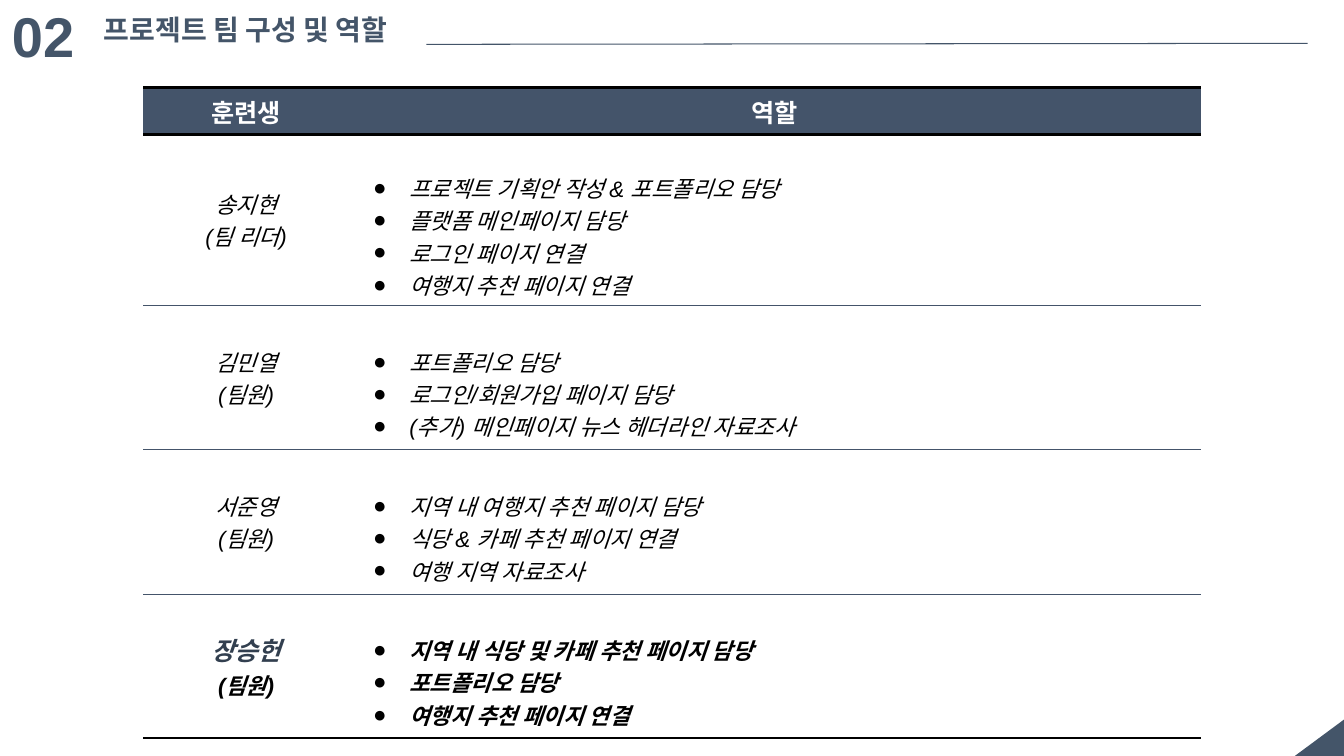
from lxml import etree
from pptx import Presentation
from pptx.dml.color import RGBColor
from pptx.enum.shapes import MSO_CONNECTOR, MSO_SHAPE
from pptx.enum.text import MSO_ANCHOR, MSO_AUTO_SIZE, PP_ALIGN
from pptx.oxml.ns import qn
from pptx.util import Inches, Pt

LEFT, CENTER = PP_ALIGN.LEFT, PP_ALIGN.CENTER
TOP, MIDDLE = MSO_ANCHOR.TOP, MSO_ANCHOR.MIDDLE

NUMBER = "02"
TITLE = "프로젝트 팀 구성 및 역할"
HEADERS = ("훈련생", "역할")
MEMBERS = [
    ("송지현", "(팀 리더)", [
        "프로젝트 기획안 작성 & 포트폴리오 담당",
        "플랫폼 메인페이지 담당",
        "로그인 페이지 연결",
        "여행지 추천 페이지 연결",
    ]),
    ("김민열", "(팀원)", [
        "포트폴리오 담당",
        "로그인/회원가입 페이지 담당",
        "(추가) 메인페이지 뉴스 헤더라인 자료조사",
    ]),
    ("서준영", "(팀원)", [
        "지역 내 여행지 추천 페이지 담당",
        "식당 & 카페 추천 페이지 연결",
        "여행 지역 자료조사",
    ]),
    ("장승헌", "(팀원)", [
        "지역 내 식당 및 카페 추천 페이지 담당",
        "포트폴리오 담당",
        "여행지 추천 페이지 연결",
    ]),
]

NAVY, SLATE, DARK = "445569", "44546A", "323F4F"
BLACK, WHITE = "000000", "FFFFFF"
THICK, THIN = (BLACK, 2), (SLATE, 0.75)

TABLE_LEFT, TABLE_TOP = 1.42, 0.87
COLUMNS = (2.04, 8.45)
HEADER_HEIGHT = 0.45
LINE_HEIGHT, ROW_PADDING = 0.32, 0.1
TASK_MARGIN_TOP = 0.37

NUMBER_FORMAT = {"size": Pt(40), "name": "Arial", "bold": True}
TITLE_FORMAT = {"size": Pt(20), "name": "Calibri", "bold": True}
HEADER_FORMAT = {"size": Pt(18), "name": "Arial", "bold": True}
BODY_FORMAT = {"size": Pt(16), "name": "Arial", "bold": False, "italic": True}


def rgb(color):
    return RGBColor.from_string(color)


def write(paragraph, text, formats, color, align=LEFT):
    paragraph.alignment = align
    font = paragraph.add_run().font
    paragraph.runs[0].text = text
    for name, value in formats.items():
        setattr(font, name, value)
    font.color.rgb = rgb(color)


def place_label(shape, box, text, formats):
    shape.left, shape.top, shape.width, shape.height = map(Inches, box)
    frame = shape.text_frame
    frame.auto_size = MSO_AUTO_SIZE.NONE
    frame.word_wrap = True
    frame.vertical_anchor = TOP
    write(frame.paragraphs[0], text, formats, NAVY)


def style_cell(cell, fill, top, bottom):
    properties = cell._tc.get_or_add_tcPr()
    for tag, border in (("a:lnL", None), ("a:lnR", None), ("a:lnT", top), ("a:lnB", bottom)):
        line = etree.SubElement(properties, qn(tag))
        if border is None:
            etree.SubElement(line, qn("a:noFill"))
            continue
        color, width = border
        line.set("w", str(Pt(width)))
        solid = etree.SubElement(line, qn("a:solidFill"))
        etree.SubElement(solid, qn("a:srgbClr"), val=color)
    cell.fill.solid()
    cell.fill.fore_color.rgb = rgb(fill)
    cell.vertical_anchor = MIDDLE


def add_bullet(paragraph):
    properties = paragraph._p.get_or_add_pPr()
    properties.set("marL", str(Inches(0.5)))
    properties.set("indent", str(Inches(-0.36)))
    color = etree.SubElement(properties, qn("a:buClr"))
    etree.SubElement(color, qn("a:srgbClr"), val=BLACK)
    etree.SubElement(properties, qn("a:buFont"), typeface="Arial")
    etree.SubElement(properties, qn("a:buChar"), char="●")


def next_paragraph(frame, index):
    return frame.paragraphs[0] if index == 0 else frame.add_paragraph()


def add_team_table(slide):
    # Each row holds its tasks plus one line of air above them.
    heights = [HEADER_HEIGHT] + [
        (len(tasks) + 1) * LINE_HEIGHT + ROW_PADDING + 0.05 * (len(tasks) == 3)
        for _, _, tasks in MEMBERS
    ]
    frame = slide.shapes.add_table(
        len(heights), len(COLUMNS), Inches(TABLE_LEFT), Inches(TABLE_TOP),
        Inches(sum(COLUMNS)), Inches(sum(heights)))
    table = frame.table
    table.first_row = table.horz_banding = False
    for column, width in zip(table.columns, COLUMNS):
        column.width = Inches(width)
    for row, height in zip(table.rows, heights):
        row.height = Inches(height)

    for column, header in enumerate(HEADERS):
        cell = table.cell(0, column)
        style_cell(cell, SLATE, THICK, THICK)
        write(cell.text_frame.paragraphs[0], header, HEADER_FORMAT, WHITE, CENTER)

    for row, (name, role, tasks) in enumerate(MEMBERS, start=1):
        last = row == len(MEMBERS)
        body = {**BODY_FORMAT, "bold": last}
        name_format = {**body, "size": Pt(18 if last else 16)}
        member_cell, task_cell = table.cell(row, 0), table.cell(row, 1)
        for cell in (member_cell, task_cell):
            style_cell(cell, WHITE, THICK if row == 1 else THIN, THICK if last else THIN)
        member = member_cell.text_frame
        write(member.paragraphs[0], name, name_format, DARK if last else BLACK, CENTER)
        write(member.add_paragraph(), role, body, BLACK, CENTER)
        task_cell.margin_top = Inches(TASK_MARGIN_TOP)
        for index, task in enumerate(tasks):
            paragraph = next_paragraph(task_cell.text_frame, index)
            add_bullet(paragraph)
            write(paragraph, task, body, BLACK)


def main():
    presentation = Presentation()
    presentation.slide_width, presentation.slide_height = Inches(13.33), Inches(7.5)
    slide = presentation.slides.add_slide(presentation.slide_layouts[5])
    shapes = slide.shapes

    corner = shapes.add_shape(
        MSO_SHAPE.RIGHT_TRIANGLE, Inches(12.9), Inches(7.07), Inches(0.37), Inches(0.5))
    corner.rotation = 270
    corner.shadow.inherit = False
    corner.fill.solid()
    corner.fill.fore_color.rgb = rgb(NAVY)
    corner.line.fill.background()

    number = shapes.add_textbox(0, 0, 0, 0)
    place_label(number, (0.02, -0.03, 1.27, 0.77), NUMBER, NUMBER_FORMAT)
    place_label(shapes.title, (0.93, 0.07, 3.4, 0.44), TITLE, TITLE_FORMAT)

    rule = shapes.add_connector(
        MSO_CONNECTOR.STRAIGHT, Inches(4.23), Inches(0.44), Inches(12.97), Inches(0.43))
    rule.line.color.rgb = rgb(NAVY)
    rule.line.width = Pt(0.75)
    etree.SubElement(rule._element.spPr, qn("a:effectLst"))

    add_team_table(slide)
    presentation.save("out.pptx")


if __name__ == "__main__":
    main()
